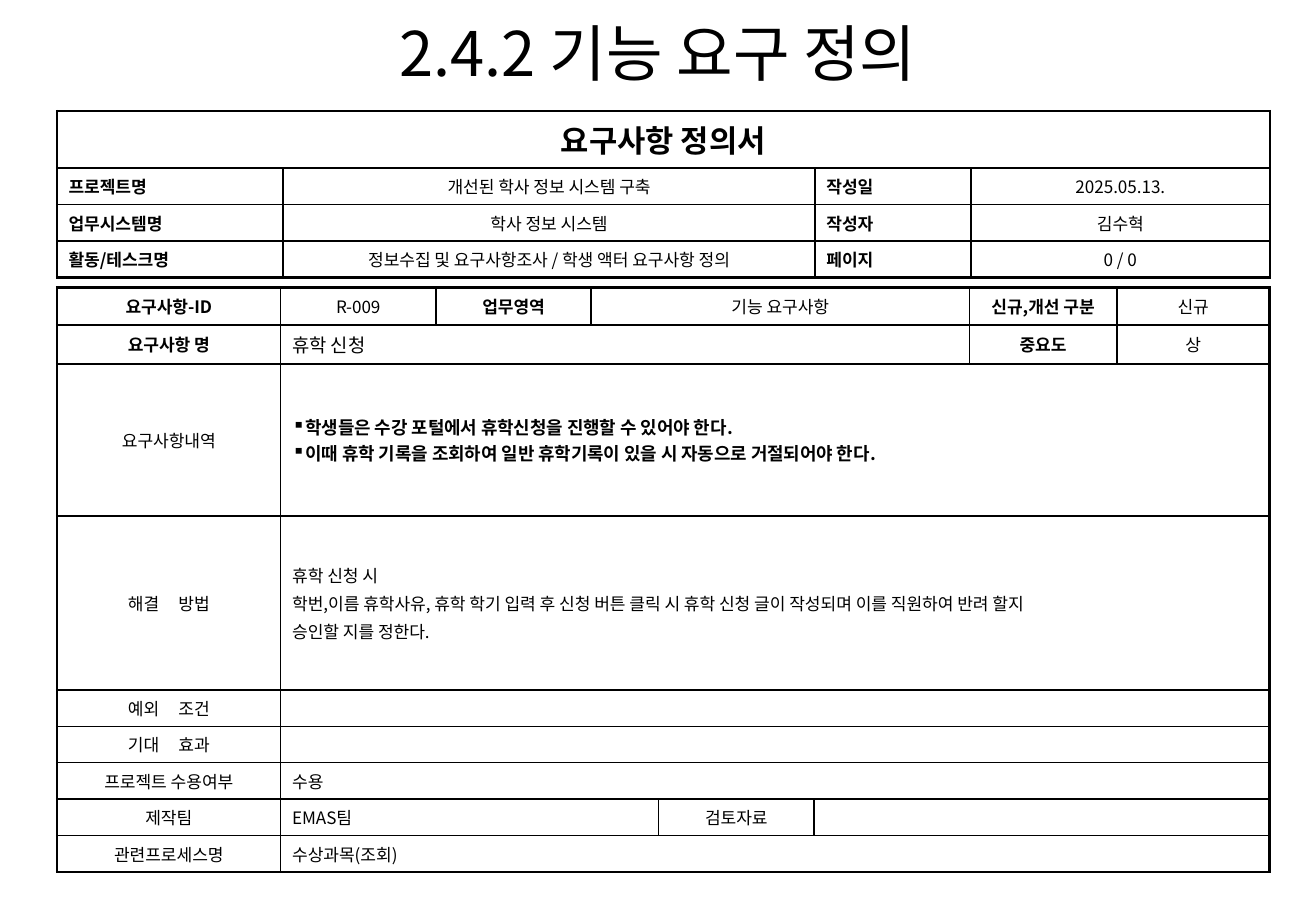
from lxml import etree
from pptx import Presentation
from pptx.dml.color import RGBColor
from pptx.enum.text import MSO_ANCHOR, MSO_AUTO_SIZE, PP_ALIGN
from pptx.oxml.ns import qn
from pptx.util import Pt

LEFT, CENTER = PP_ALIGN.LEFT, PP_ALIGN.CENTER
TOP, MIDDLE = MSO_ANCHOR.TOP, MSO_ANCHOR.MIDDLE
NO_FIT = MSO_AUTO_SIZE.NONE
FONT = "Noto Sans CJK KR"
BLACK, WHITE = "000000", "FFFFFF"
THIN, THICK = Pt(1), Pt(1.5)

# Cell styles: size, bold, alignment, bullet, space between paragraphs
STYLES = {
    "heading": (18, True, CENTER, None, 0),
    "field": (10, True, LEFT, None, 0),
    "label": (10, True, CENTER, None, 0),
    "value": (10, False, CENTER, None, 0),
    "name": (11, False, LEFT, None, 0),
    "body": (10, False, LEFT, None, 2),
    "list": (10.5, True, LEFT, "▪", 0),
}

# Each cell: text, style, columns spanned. "|" marks a wide word gap.
PROJECT_ROWS = [
    [("요구사항 정의서", "heading", 4)],
    [("프로젝트명", "field", 1), ("개선된 학사 정보 시스템 구축", "value", 1),
     ("작성일", "field", 1), ("2025.05.13.", "value", 1)],
    [("업무시스템명", "field", 1), ("학사 정보 시스템", "value", 1),
     ("작성자", "field", 1), ("김수혁", "value", 1)],
    [("활동/테스크명", "field", 1),
     ("정보수집 및 요구사항조사 / 학생 액터 요구사항 정의", "value", 1),
     ("페이지", "field", 1), ("0 / 0", "value", 1)],
]
REQUIREMENT_ROWS = [
    [("요구사항-ID", "label", 1), ("R-009", "value", 1),
     ("업무영역", "label", 1), ("기능 요구사항", "value", 3),
     ("신규,개선 구분", "label", 1), ("신규", "value", 1)],
    [("요구사항 명", "label", 1), ("휴학 신청", "name", 5),
     ("중요도", "label", 1), ("상", "value", 1)],
    [("요구사항내역", "value", 1),
     ("학생들은 수강 포털에서 휴학신청을 진행할 수 있어야 한다.\n"
      "이때 휴학 기록을 조회하여 일반 휴학기록이 있을 시 자동으로 거절되어야 한다.",
      "list", 7)],
    [("해결|방법", "value", 1),
     ("휴학 신청 시\n"
      "학번,이름 휴학사유, 휴학 학기 입력 후 신청 버튼 클릭 시 휴학 신청 글이 "
      "작성되며 이를 직원하여 반려 할지\n"
      "승인할 지를 정한다.", "body", 7)],
    [("예외|조건", "value", 1), ("", "body", 7)],
    [("기대|효과", "value", 1), ("", "body", 7)],
    [("프로젝트 수용여부", "value", 1), ("수용", "body", 7)],
    [("제작팀", "value", 1), ("EMAS팀", "body", 3),
     ("검토자료", "value", 1), ("", "body", 3)],
    [("관련프로세스명", "value", 1), ("수상과목(조회)", "body", 7)],
]


def rgb(color):
    return RGBColor.from_string(color)


def add_run(p, text, size, bold=False):
    r = p.add_run()
    r.text = text
    r.font.size, r.font.bold, r.font.name = Pt(size), bold, FONT
    r.font.color.rgb = rgb(BLACK)
    etree.SubElement(r.font._element, qn("a:ea"), typeface=FONT)
    return r


def write_cell(cell, text, style):
    size, bold, align, bullet, gap = STYLES[style]
    tf = cell.text_frame
    for i, line in enumerate(text.split("\n")):
        p = tf.add_paragraph() if i else tf.paragraphs[0]
        p.alignment = align
        if i:
            p.space_before = Pt(gap)
        if bullet:
            pPr = p._p.get_or_add_pPr()
            pPr.set("marL", "0")
            pPr.set("indent", "0")
            etree.SubElement(pPr, qn("a:buChar"), char=bullet)
        for piece in filter(None, line.partition("|")):
            r = add_run(p, piece.replace("|", " "), size, bold)
            if piece == "|":
                r.font._element.set("spc", "900")


def format_cell(cell, borders):
    tcPr = cell._tc.get_or_add_tcPr()
    for side, width in borders.items():
        ln = etree.SubElement(tcPr, qn("a:ln" + side), w=str(width))
        fill = etree.SubElement(ln, qn("a:solidFill"))
        etree.SubElement(fill, qn("a:srgbClr"), val=BLACK)
    cell.fill.solid()
    cell.fill.fore_color.rgb = rgb(WHITE)
    cell.vertical_anchor = MIDDLE
    cell.margin_left = cell.margin_right = Pt(6.8)
    cell.margin_top = cell.margin_bottom = Pt(3)
    # Empty cells must not force a taller row
    cell.text_frame.paragraphs[0]._p.get_or_add_endParaRPr().set("sz", "1000")


def add_form(s, left, top, widths, heights, rows, thick_rules):
    """Bordered form; thick_rules are the row boundaries with a thick line."""
    n_cols = len(widths)
    table = s.shapes.add_table(len(heights), n_cols, Pt(left), Pt(top),
                               Pt(sum(widths)), Pt(sum(heights))).table
    table.first_row = table.horz_banding = False
    for column, width in zip(table.columns, widths):
        column.width = Pt(width)
    for row, height in zip(table.rows, heights):
        row.height = Pt(height)

    for i, row in enumerate(rows):
        first = 0
        for text, style, span in row:
            end = first + span
            borders = {
                "L": THIN if first else THICK,
                "R": THICK if end == n_cols else THIN,
                "T": THICK if i in thick_rules else THIN,
                "B": THICK if i + 1 in thick_rules else THIN,
            }
            origin = table.cell(i, first)
            write_cell(origin, text, style)
            format_cell(origin, borders)
            for col in range(first + 1, end):
                hidden = "L" if col == end - 1 else "LR"
                format_cell(table.cell(i, col), {
                    side: w for side, w in borders.items() if side not in hidden})
            if span > 1:
                origin.merge(table.cell(i, end - 1))
            first = end


def add_title(s, left, top, width, height):
    title = s.shapes.title
    title.left, title.top = Pt(left), Pt(top)
    title.width, title.height = Pt(width), Pt(height)
    tf = title.text_frame
    tf.word_wrap, tf.auto_size, tf.vertical_anchor = True, NO_FIT, TOP
    p = tf.paragraphs[0]
    p.alignment = CENTER
    add_run(p, "2.4.2 기능 요구 정의", 36)


def main():
    prs = Presentation()
    prs.slide_width, prs.slide_height = Pt(771), Pt(540)
    s = prs.slides.add_slide(prs.slide_layouts[5])
    add_title(s, 129, 5, 513, 104)
    # Project details
    add_form(s, 33.4, 65, [132.5, 311.5, 91.5, 175], [33.4] + [21.4] * 3,
             PROJECT_ROWS, {0, 4})
    # Requirement details
    add_form(s, 33.4, 168.4, [131, 91, 91, 39.5, 91, 91, 86.5, 89.5],
             [22, 22.8, 89, 102] + [21.3] * 5, REQUIREMENT_ROWS, {0, 1, 2, 9})
    prs.save("out.pptx")


if __name__ == "__main__":
    main()
